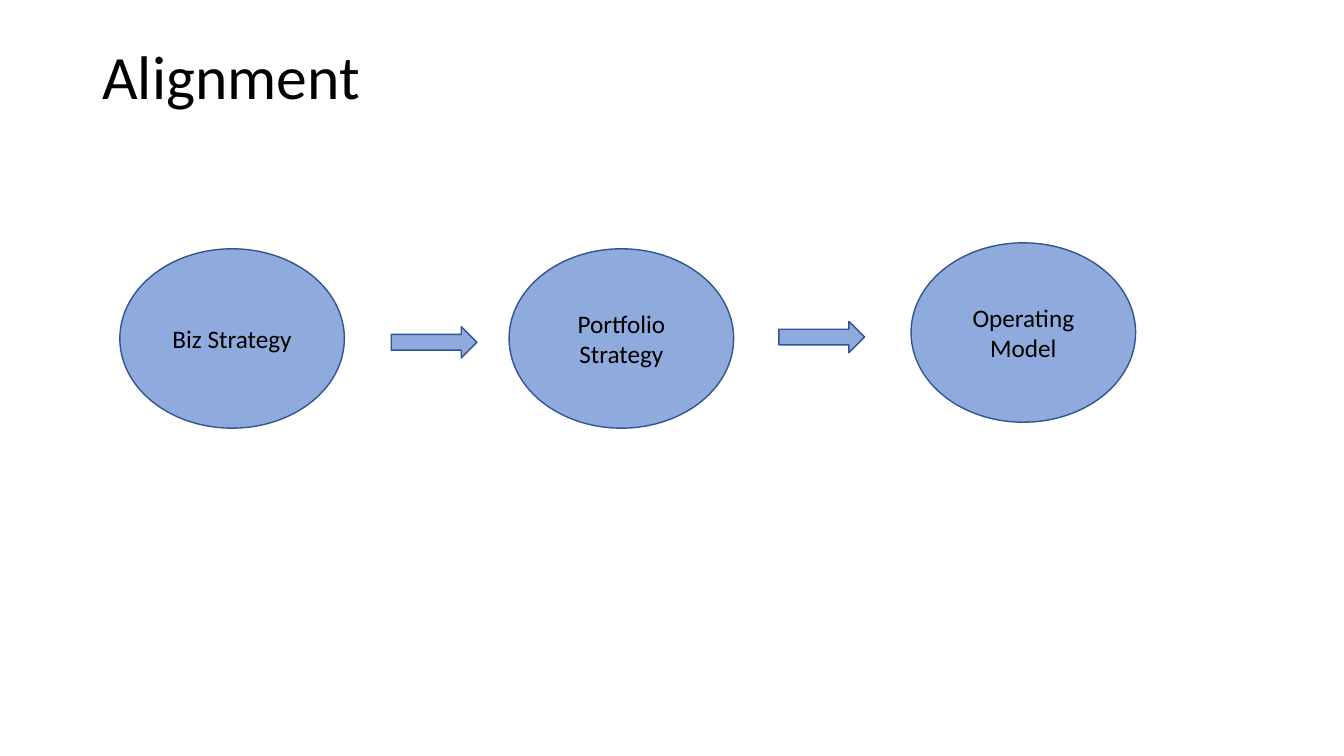
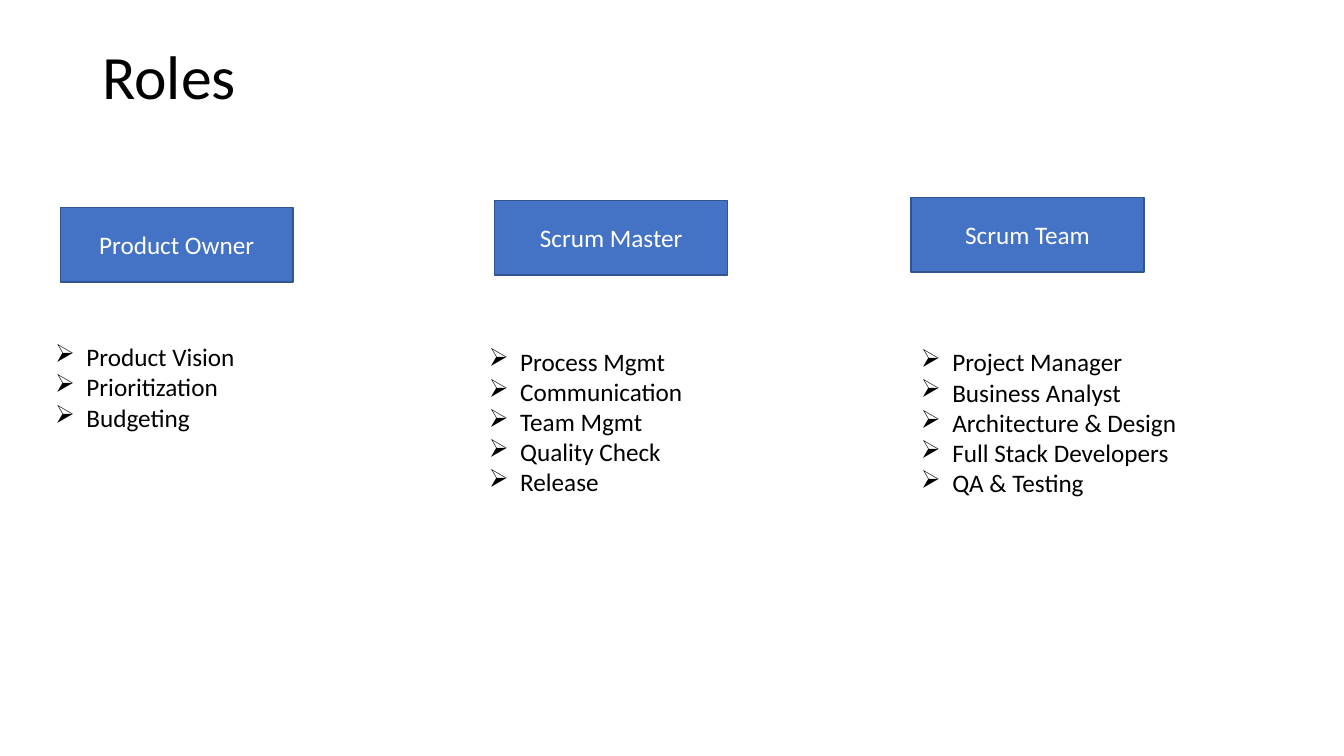
from dataclasses import dataclass

from lxml import etree
from pptx import Presentation
from pptx.dml.color import RGBColor
from pptx.enum.shapes import MSO_SHAPE
from pptx.enum.text import MSO_ANCHOR, PP_ALIGN
from pptx.oxml.ns import qn
from pptx.shapes.autoshape import Shape
from pptx.slide import Slide
from pptx.text.text import TextFrame, _Paragraph
from pptx.util import Cm, Pt

OVAL = MSO_SHAPE.OVAL
ARROW = MSO_SHAPE.RIGHT_ARROW
RECT = MSO_SHAPE.RECTANGLE
MIDDLE = MSO_ANCHOR.MIDDLE
CENTER = PP_ALIGN.CENTER
LEFT = PP_ALIGN.LEFT

FONT = "Calibri"
BLACK = "000000"
WHITE = "FFFFFF"
BLUE = "4472C4"
LIGHT_BLUE = "8FAADC"
OUTLINE = "325491"
TITLE_SIZE = 44
BODY_SIZE = 18
BULLET = "➢"
BULLET_INDENT = 0.79


@dataclass(frozen=True)
class Box:
    left: float
    top: float
    width: float
    height: float


@dataclass(frozen=True)
class Style:
    kind: MSO_SHAPE
    fill: str
    color: str


@dataclass(frozen=True)
class Node:
    box: Box
    text: str = ""


@dataclass(frozen=True)
class Role:
    header: Node
    duties: Box
    items: tuple[str, ...]


STAGE = Style(OVAL, LIGHT_BLUE, BLACK)
STEP = Style(ARROW, LIGHT_BLUE, BLACK)
HEADER = Style(RECT, BLUE, WHITE)

TITLE_BOX = Box(2.33, 1.02, 29.21, 1.98)

STAGES = [
    Node(Box(left, top, 5.66, 4.52), text)
    for left, top, text in (
        (3.02, 6.27, "Biz Strategy"),
        (12.83, 6.27, "Portfolio Strategy"),
        (22.96, 6.12, "Operating Model"),
    )
]
STEPS = [
    Node(Box(left, top, 2.16, 0.79))
    for left, top in ((9.86, 8.23), (19.63, 8.1))
]
ROLES = [
    Role(
        Node(Box(1.52, 5.23, 5.87, 1.88), "Product Owner"),
        Box(1.14, 8.48, 7.59, 3.33),
        ("Product Vision", "Prioritization", "Budgeting"),
    ),
    Role(
        Node(Box(12.47, 5.05, 5.87, 1.88), "Scrum Master"),
        Box(12.07, 8.59, 7.59, 4.11),
        ("Process Mgmt", "Communication", "Team Mgmt", "Quality Check", "Release"),
    ),
    Role(
        Node(Box(22.96, 4.98, 5.87, 1.88), "Scrum Team"),
        Box(22.96, 8.61, 7.59, 4.11),
        (
            "Project Manager",
            "Business Analyst",
            "Architecture & Design",
            "Full Stack Developers",
            "QA & Testing",
        ),
    ),
]


def rgb(value: str) -> RGBColor:
    return RGBColor.from_string(value)


def place(box: Box) -> tuple[Cm, Cm, Cm, Cm]:
    return Cm(box.left), Cm(box.top), Cm(box.width), Cm(box.height)


def write(tf: TextFrame, text: str, size: int, color: str, align: PP_ALIGN) -> None:
    tf.word_wrap = True
    tf.text = text
    for p in tf.paragraphs:
        p.alignment = align
        for r in p.runs:
            r.font.name = FONT
            r.font.size = Pt(size)
            r.font.color.rgb = rgb(color)


def add_bullet(p: _Paragraph) -> None:
    props = p._p.get_or_add_pPr()
    props.set("marL", str(Cm(BULLET_INDENT)))
    props.set("indent", str(-Cm(BULLET_INDENT)))
    etree.SubElement(props, qn("a:buChar")).set("char", BULLET)


def add_title(s: Slide, text: str) -> None:
    tf = s.shapes.add_textbox(*place(TITLE_BOX)).text_frame
    write(tf, text, TITLE_SIZE, BLACK, LEFT)
    tf.vertical_anchor = MIDDLE
    tf.paragraphs[0].line_spacing = 0.9


def add_node(s: Slide, node: Node, style: Style) -> Shape:
    sp = s.shapes.add_shape(style.kind, *place(node.box))
    sp.shadow.inherit = False
    sp.fill.solid()
    sp.fill.fore_color.rgb = rgb(style.fill)
    sp.line.color.rgb = rgb(OUTLINE)
    sp.line.width = Pt(1)
    if node.text:
        write(sp.text_frame, node.text, BODY_SIZE, style.color, CENTER)
        sp.text_frame.vertical_anchor = MIDDLE
    return sp


def add_list(s: Slide, box: Box, items: tuple[str, ...]) -> None:
    tf = s.shapes.add_textbox(*place(box)).text_frame
    write(tf, "\n".join(items), BODY_SIZE, BLACK, LEFT)
    for p in tf.paragraphs:
        add_bullet(p)


def add_slide(prs: Presentation, title: str) -> Slide:
    s = prs.slides.add_slide(prs.slide_layouts[6])
    add_title(s, title)
    return s


def build_alignment(prs: Presentation) -> None:
    s = add_slide(prs, "Alignment")
    for stage in STAGES:
        add_node(s, stage, STAGE)
    for step in STEPS:
        add_node(s, step, STEP)


def build_roles(prs: Presentation) -> None:
    s = add_slide(prs, "Roles")
    for role in ROLES:
        add_node(s, role.header, HEADER)
        add_list(s, role.duties, role.items)


def main() -> None:
    prs = Presentation()
    prs.slide_width = Cm(33.87)
    prs.slide_height = Cm(19.05)
    build_alignment(prs)
    build_roles(prs)
    prs.save("out.pptx")


main()
